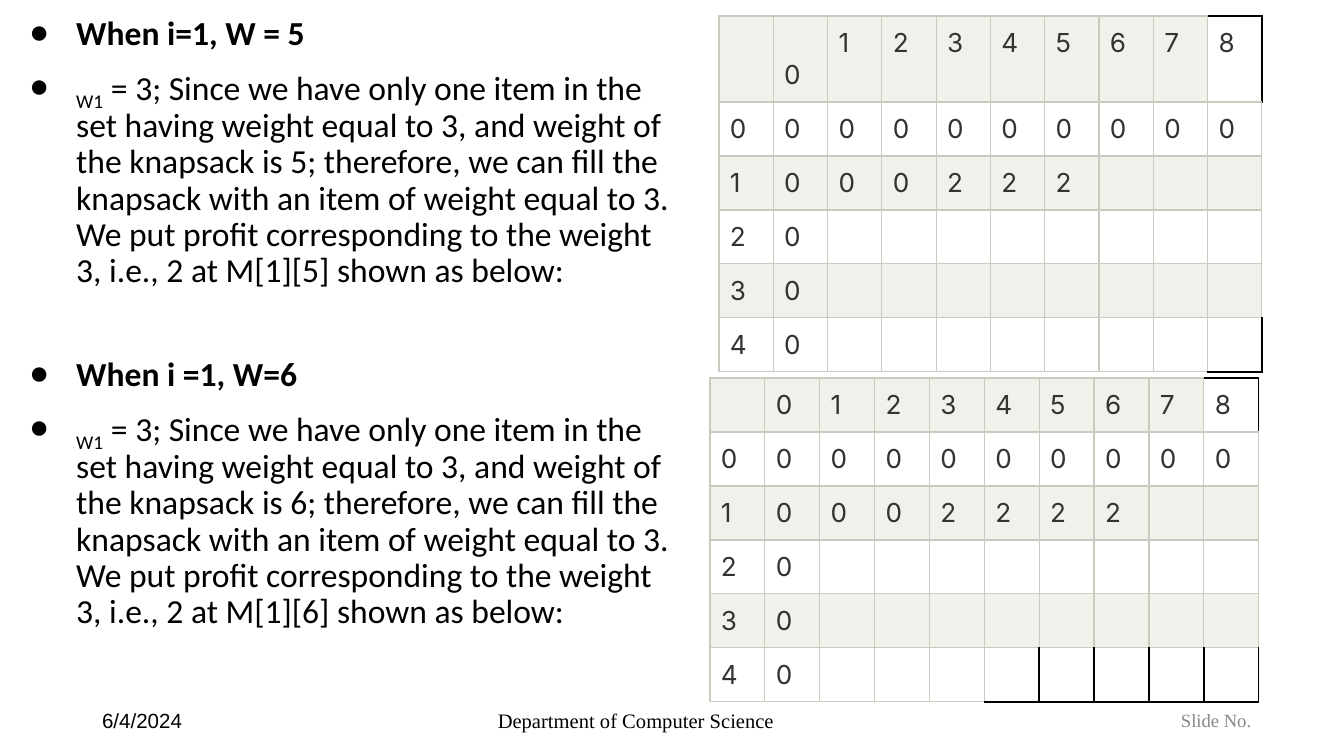
"""Build the knapsack slide with two profit tables."""
from lxml import etree
from pptx import Presentation
from pptx import util as u
from pptx.dml.color import RGBColor
from pptx.enum import text
from pptx.oxml.ns import qn

PX = 914400 / 134.4
BLACK = RGBColor(0x00, 0x00, 0x00)
DARK = RGBColor(0x33, 0x33, 0x33)
GREY = RGBColor(0x88, 0x88, 0x88)
EDGE = RGBColor(0xC7, 0xCC, 0xBE)
BAND = RGBColor(0xEF, 0xF1, 0xEB)
WHITE = RGBColor(0xFF, 0xFF, 0xFF)


def px(*nums):
    return [u.Emu(round(n * PX)) for n in nums]


def add_run(para, words, size, face, color):
    run = para.add_run()
    run.text = words
    run.font.size = u.Pt(size)
    run.font.name = face
    run.font.color.rgb = color
    return run


deck = Presentation()
deck.slide_width, deck.slide_height = px(1344, 756)
slide = deck.slides.add_slide(deck.slide_layouts[1])
title = slide.shapes.title
title.element.getparent().remove(title.element)

body = slide.placeholders[1]
body.left, body.top, body.width, body.height = px(0, 11, 1344, 680)
frame = body.text_frame
frame.auto_size = text.MSO_AUTO_SIZE.NONE
frame.word_wrap = True
frame.vertical_anchor = text.MSO_ANCHOR.TOP
frame.margin_left, frame.margin_right = px(9, 9)
frame.margin_top, frame.margin_bottom = px(5, 5)
frame._txBody.bodyPr.set("numCol", "2")

cases = [("When i=1, W = 5", 5, 8), ("When i =1, W=6", 6, 36)]
for head, load, gap in cases:
    story = (
        f" = 3; Since we have only one item in the set having weight equal to 3, "
        f"and weight of the knapsack is {load}; therefore, we can fill the knapsack "
        f"with an item of weight equal to 3. We put profit corresponding to the "
        f"weight 3, i.e., 2 at M[1][{load}] shown as below:"
    )
    for parts, space in (([head], gap), (["W1", story], 8)):
        para = frame.paragraphs[0]
        if para.runs:
            para = frame.add_paragraph()
        para.line_spacing = 0.9
        para.space_before = u.Pt(space)
        para.space_after = u.Pt(0)
        props = para._p.get_or_add_pPr()
        props.set("marL", str(u.Inches(0.5)))
        props.set("indent", str(u.Inches(-0.35)))
        tint = etree.SubElement(props, qn("a:buClr"))
        etree.SubElement(tint, qn("a:srgbClr"), val=str(BLACK))
        etree.SubElement(props, qn("a:buFont"), typeface="Arial")
        etree.SubElement(props, qn("a:buChar"), char="●")
        for part in parts:
            run = add_run(para, part, 18, "Calibri", BLACK)
            run.font.bold = part == head
            if part == "W1":
                run.font._element.set("baseline", "-25000")

notes = [
    ("Department of Computer Science", (409, 700, 454, 40), 11,
     "Times New Roman", BLACK, text.PP_ALIGN.CENTER, text.MSO_ANCHOR.MIDDLE, 5),
    ("Slide No.", (1172, 700, 152, 40), 10,
     "Times New Roman", GREY, text.PP_ALIGN.LEFT, text.MSO_ANCHOR.TOP, 9),
    ("6/4/2024", (93, 700, 302, 40), 11,
     "Arial", BLACK, text.PP_ALIGN.LEFT, text.MSO_ANCHOR.MIDDLE, 5),
]
for words, place, size, face, color, align, anchor, pad in notes:
    frame = slide.shapes.add_textbox(*px(*place)).text_frame
    frame.word_wrap = True
    frame.vertical_anchor = anchor
    frame.margin_left, frame.margin_right = px(9, 9)
    frame.margin_top, frame.margin_bottom = px(pad, pad)
    frame.paragraphs[0].alignment = align
    add_run(frame.paragraphs[0], words, size, face, color)

sides = [("a:lnL", 0, -1), ("a:lnR", 0, 1), ("a:lnT", -1, 0), ("a:lnB", 1, 0)]
tables = [
    ((719, 16, 543, 324), 86, "1000222", {(0, 9), (5, 9)}),
    ((710, 378, 549, 324), 54, "10002222", {(0, 9)} | {(5, c) for c in range(5, 10)}),
]
for place, tall, profit, bare in tables:
    grid = slide.shapes.add_table(6, 10, *px(*place)).table
    grid.first_row = grid.horz_banding = False
    grid.rows[0].height = px(tall)[0]
    lines = [" 012345678", "0" * 10, profit, "20", "30", "40"]
    for r, line in enumerate(lines):
        for c, mark in enumerate(line.ljust(10)):
            cell = grid.cell(r, c)
            pad = 5 if mark == " " else 11
            cell.margin_left, cell.margin_right = px(11, 11)
            cell.margin_top, cell.margin_bottom = px(pad, pad)
            props = cell._tc.get_or_add_tcPr()
            for side, down, over in sides:
                near = (r + down, c + over)
                inside = 0 <= near[0] < 6 and 0 <= near[1] < 10
                bold = (r, c) in bare and (near in bare or not inside)
                edge = etree.SubElement(props, qn(side), w="12700" if bold else "9525")
                fill = etree.SubElement(edge, qn("a:solidFill"))
                etree.SubElement(fill, qn("a:srgbClr"), val=str(BLACK if bold else EDGE))
            if (r, c) in bare:
                cell.fill.background()
            else:
                cell.fill.solid()
                cell.fill.fore_color.rgb = WHITE if r % 2 else BAND
            if mark != " ":
                para = cell.text_frame.paragraphs[0]
                para.alignment = text.PP_ALIGN.JUSTIFY
                add_run(para, mark, 14, "Inter", DARK)
    grid.cell(0, 1).vertical_anchor = text.MSO_ANCHOR.BOTTOM

deck.save("out.pptx")
